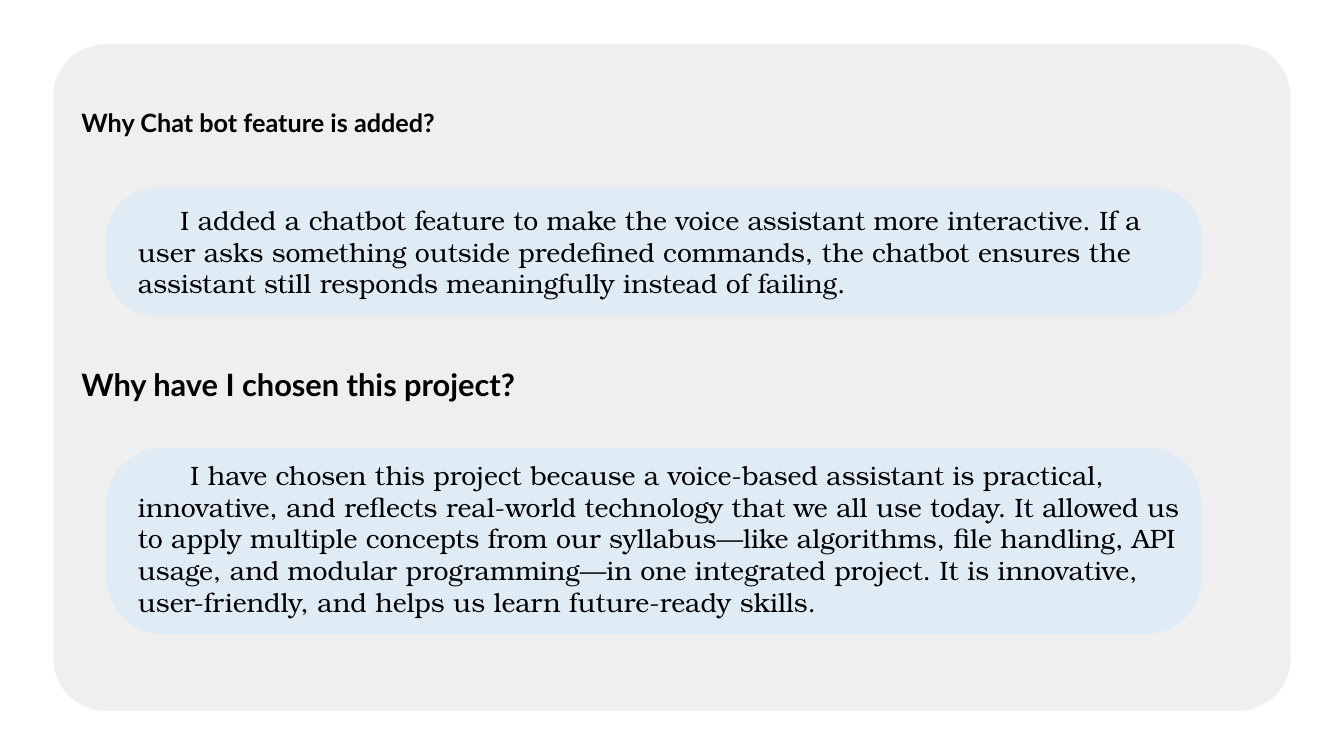
from dataclasses import dataclass

from pptx import Presentation
from pptx.dml.color import RGBColor
from pptx.enum.shapes import MSO_SHAPE as SHAPE
from pptx.enum.text import MSO_AUTO_SIZE as AUTO
from pptx.oxml.ns import qn
from pptx.oxml.xmlchemy import OxmlElement
from pptx.util import Inches, Pt

COLORS = {"panel": "E8E8E8", "bubble": "DCEAF7", "text": "000000"}
HEADING_FONT = "Lato"
BODY_FONT = "TeX Gyre Bonum"
HEADING_LEFT = 0.71
BUBBLE_LEFT, BUBBLE_WIDTH = 1.06, 10.86
BODY_LEFT, BODY_WIDTH = 1.27, 10.65
BODY_SIZE = 19


@dataclass(frozen=True)
class Box:
    left: float
    top: float
    width: float
    height: float

    def lengths(self) -> tuple:
        return tuple(Inches(v) for v in (self.left, self.top, self.width, self.height))


@dataclass(frozen=True)
class Question:
    heading: str
    heading_size: float
    heading_box: Box
    bubble_box: Box
    rounding: float
    answer: str
    answer_box: Box
    indent: float


QUESTIONS = [
    Question(
        "Why Chat bot feature is added?", 18, Box(HEADING_LEFT, 1.02, 4.67, 0.4),
        Box(BUBBLE_LEFT, 1.86, BUBBLE_WIDTH, 1.28), 0.377,
        "I added a chatbot feature to make the voice assistant more interactive. "
        "If a user asks something outside predefined commands, the chatbot ensures "
        "the assistant still responds meaningfully instead of failing.",
        Box(BODY_LEFT, 1.97, BODY_WIDTH, 1.06), 0.42,
    ),
    Question(
        "Why have I chosen this project?", 22, Box(HEADING_LEFT, 3.58, 5.56, 0.47),
        Box(BUBBLE_LEFT, 4.44, BUBBLE_WIDTH, 1.85), 0.298,
        "I have chosen this project because a voice-based assistant is practical, "
        "innovative, and reflects real-world technology that we all use today. "
        "It allowed us to apply multiple concepts from our syllabus—like algorithms, "
        "file handling, API usage, and modular programming—in one integrated project. "
        "It is innovative, user-friendly, and helps us learn future-ready skills.",
        Box(BODY_LEFT, 4.5, BODY_WIDTH, 1.7), 0.52,
    ),
]


def add_rounded(slide, box: Box, rounding: float, color: str, opacity: int) -> None:
    """Draw a borderless rounded rectangle with opacity in percent."""
    s = slide.shapes.add_shape(SHAPE.ROUNDED_RECTANGLE, *box.lengths())
    s.adjustments[0] = rounding
    s.shadow.inherit = False
    s.line.fill.background()
    s.fill.solid()
    s.fill.fore_color.rgb = RGBColor.from_string(COLORS[color])
    alpha = OxmlElement("a:alpha")
    alpha.set("val", str(opacity * 1000))
    s._element.spPr.find(qn("a:solidFill")).find(qn("a:srgbClr")).append(alpha)


def add_text(slide, box: Box, text: str, font: str, size: float,
             bold: bool = False, wrap: bool = True, indent: float = 0) -> None:
    """Add one paragraph, its first line indented by the given inches."""
    tf = slide.shapes.add_textbox(*box.lengths()).text_frame
    tf.word_wrap = wrap
    tf.auto_size = AUTO.SHAPE_TO_FIT_TEXT
    p = tf.paragraphs[0]
    if indent:
        pPr = p._p.get_or_add_pPr()
        pPr.set("marL", "0")
        pPr.set("indent", str(Inches(indent)))
    r = p.add_run()
    r.text = text
    r.font.name = font
    r.font.size = Pt(size)
    r.font.bold = bold
    r.font.color.rgb = RGBColor.from_string(COLORS["text"])


def add_question(slide, q: Question) -> None:
    add_rounded(slide, q.bubble_box, q.rounding, "bubble", 80)
    add_text(slide, q.heading_box, q.heading, HEADING_FONT, q.heading_size,
             bold=True, wrap=False)
    add_text(slide, q.answer_box, q.answer, BODY_FONT, BODY_SIZE, indent=q.indent)


def main() -> None:
    prs = Presentation()
    prs.slide_width, prs.slide_height = Inches(13.33), Inches(7.5)
    slide = prs.slides.add_slide(prs.slide_layouts[6])
    add_rounded(slide, Box(0.53, 0.44, 12.27, 6.61), 0.078, "panel", 66)
    for q in QUESTIONS:
        add_question(slide, q)
    prs.save("out.pptx")


if __name__ == "__main__":
    main()
